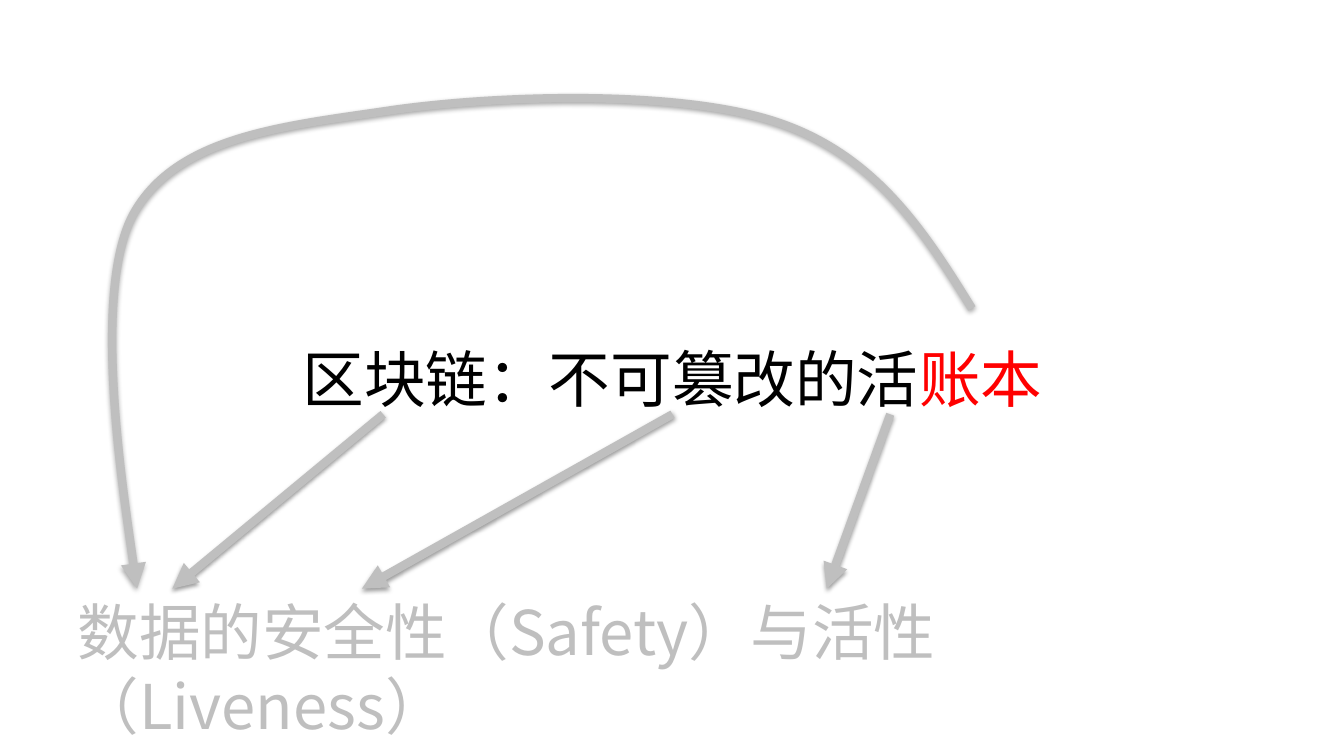
from dataclasses import dataclass

from pptx import Presentation
from pptx import util as u
from pptx.dml.color import RGBColor
from pptx.enum import shapes, text
from pptx.oxml import parse_xml
from pptx.oxml.ns import nsdecls, qn
from lxml import etree

PX = 9144
FONT = "Noto Sans CJK SC"
BLACK = RGBColor(0x00, 0x00, 0x00)
RED = RGBColor(0xFF, 0x00, 0x00)
GRAY = RGBColor(0xBF, 0xBF, 0xBF)


@dataclass(frozen=True)
class Link:
    x1: int
    y1: int
    x2: int
    y2: int


@dataclass(frozen=True)
class Box:
    x: int
    y: int
    w: int
    h: int


@dataclass(frozen=True)
class Shade:
    dist: int
    alpha: int


LINKS = [
    Link(667, 411, 359, 584),
    Link(883, 411, 820, 584),
    Link(380, 411, 171, 584),
]
TITLE = Box(67, 312, 1200, 125)
NOTE = Box(67, 584, 1128, 84)
ARC = Box(114, 98, 850, 487)
START = (964, 306)
CURVES = [
    [(917, 230), (869, 155), (773, 122)],
    [(678, 89), (498, 94), (391, 109)],
    [(284, 125), (175, 134), (132, 213)],
    [(90, 292), (136, 584), (136, 584)],
]


def style(run, color: RGBColor) -> None:
    run.font.size = u.Pt(44)
    run.font.color.rgb = color
    run.font.name = FONT
    props = run.font._element
    etree.SubElement(props, qn("a:ea")).set("typeface", FONT)


def finish(shape, shade: Shade) -> None:
    shape.line.color.rgb = GRAY
    shape.line.width = u.Pt(6)
    props = shape.element.spPr
    etree.SubElement(props.find(qn("a:ln")), qn("a:tailEnd")).set("type", "triangle")
    props.append(parse_xml(
        f'<a:effectLst {nsdecls("a")}><a:outerShdw blurRad="40000" '
        f'dist="{shade.dist}" dir="5400000" rotWithShape="0">'
        f'<a:srgbClr val="000000"><a:alpha val="{shade.alpha}"/></a:srgbClr>'
        '</a:outerShdw></a:effectLst>'))


def join(slide, link: Link) -> None:
    line = slide.shapes.add_connector(
        shapes.MSO_CONNECTOR.STRAIGHT,
        link.x1 * PX, link.y1 * PX, link.x2 * PX, link.y2 * PX)
    finish(line, Shade(20000, 38000))


def bend(slide) -> None:
    pen = slide.shapes.build_freeform(*START, scale=PX)
    pen.add_line_segments(
        [(ARC.x, ARC.y), (ARC.x + ARC.w, ARC.y + ARC.h)], close=False)
    arc = pen.convert_to_shape()
    arc.fill.background()
    track = next(arc.element.iter(qn("a:path")))
    for part in track.findall(qn("a:lnTo")):
        track.remove(part)
    for curve in CURVES:
        part = etree.SubElement(track, qn("a:cubicBezTo"))
        for x, y in curve:
            dot = etree.SubElement(part, qn("a:pt"))
            dot.set("x", str(x - ARC.x))
            dot.set("y", str(y - ARC.y))
    finish(arc, Shade(23000, 35000))


def head(slide) -> None:
    title = slide.shapes.title
    title.left, title.top = TITLE.x * PX, TITLE.y * PX
    title.width, title.height = TITLE.w * PX, TITLE.h * PX
    frame = title.text_frame
    frame.auto_size = text.MSO_AUTO_SIZE.NONE
    frame.vertical_anchor = text.MSO_ANCHOR.MIDDLE
    para = frame.paragraphs[0]
    para.alignment = text.PP_ALIGN.CENTER
    for words, color in [("区块链：不可篡改的活", BLACK), ("账本", RED)]:
        run = para.add_run()
        run.text = words
        style(run, color)


def note(slide) -> None:
    box = slide.shapes.add_textbox(
        NOTE.x * PX, NOTE.y * PX, NOTE.w * PX, NOTE.h * PX)
    frame = box.text_frame
    frame.word_wrap = False
    frame.auto_size = text.MSO_AUTO_SIZE.SHAPE_TO_FIT_TEXT
    frame.text = "数据的安全性（Safety）与活性（Liveness）"
    style(frame.paragraphs[0].runs[0], GRAY)


def main() -> None:
    deck = Presentation()
    deck.slide_width, deck.slide_height = u.Inches(13.33), u.Inches(7.5)
    slide = deck.slides.add_slide(deck.slide_layouts[5])
    head(slide)
    note(slide)
    for link in LINKS[:2]:
        join(slide, link)
    bend(slide)
    join(slide, LINKS[2])
    deck.save("out.pptx")


if __name__ == "__main__":
    main()
